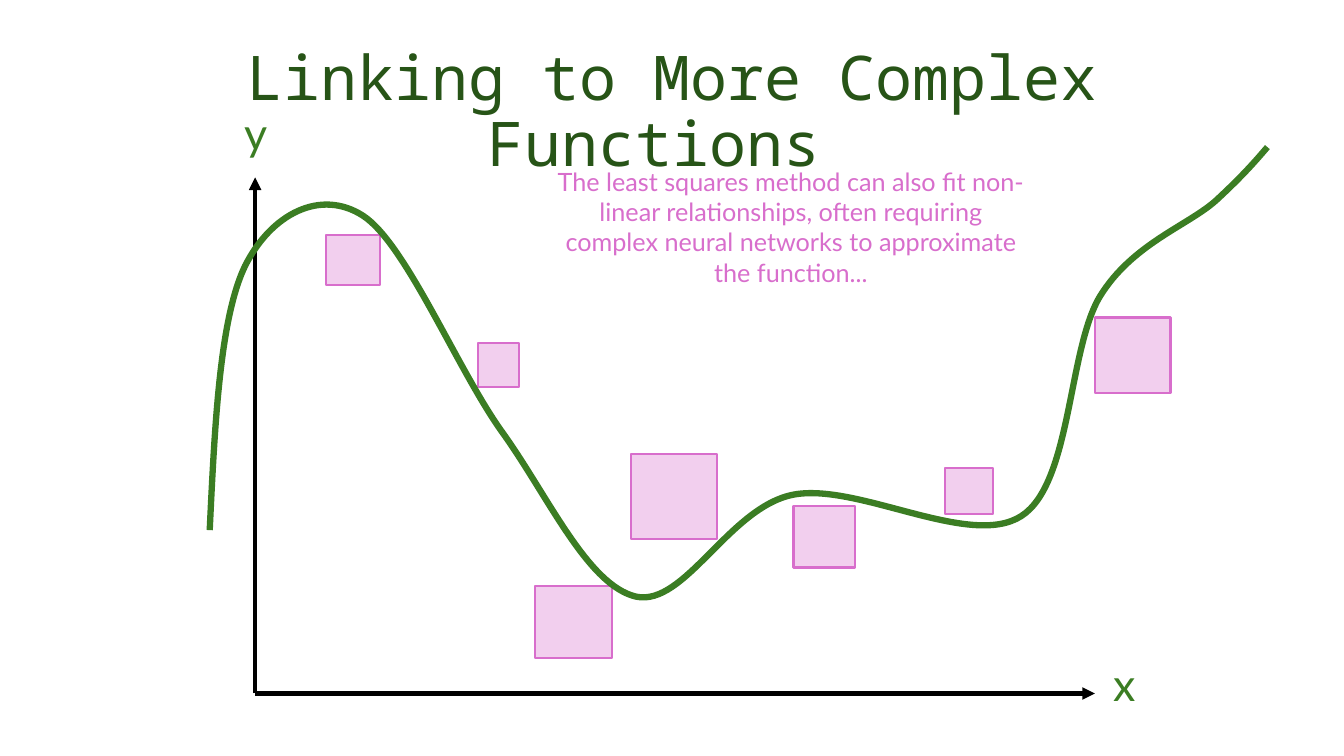
import pptx
import pptx.util
import pptx.dml.color
import pptx.enum.shapes
import pptx.enum.text
import pptx.oxml.ns
import lxml.etree

prs = pptx.Presentation()
prs.slide_width = pptx.util.Inches(13.33)
prs.slide_height = pptx.util.Inches(7.5)
s = prs.slides.add_slide(prs.slide_layouts[6])
cell = prs.slide_height // 750
qn = pptx.oxml.ns.qn


def paint(fmt, color):
    if hasattr(fmt, "solid"):
        fmt.solid()
        fmt.fore_color.rgb = pptx.dml.color.RGBColor.from_string(color)
    else:
        fmt.color.rgb = pptx.dml.color.RGBColor.from_string(color)


residuals = [
    (626, 450, 85, 85),
    (937, 464, 48, 46),
    (1086, 315, 75, 75),
    (787, 502, 61, 61),
    (531, 581, 76, 72),
    (323, 233, 54, 50),
    (474, 340, 41, 44),
]
for box in residuals:
    sp = s.shapes.add_shape(pptx.enum.shapes.MSO_SHAPE.RECTANGLE, *[n * cell for n in box])
    sp.shadow.inherit = False
    paint(sp.fill, "F2CFEE")
    paint(sp.line, "D86ECC")
    sp.line.width = pptx.util.Pt(1.5)

origin = (253, 688)
for tip in [(253, 176), (1086, 688)]:
    axis = s.shapes.add_connector(
        pptx.enum.shapes.MSO_CONNECTOR.STRAIGHT, *[n * cell for n in origin + tip])
    paint(axis.line, "000000")
    axis.line.width = pptx.util.Pt(3)
    lxml.etree.SubElement(axis.line._get_or_add_ln(), qn("a:tailEnd"), type="triangle")
    lxml.etree.SubElement(axis._element.spPr, qn("a:effectLst"))

start = (208, 526)
curves = [
    ((213, 421), (218, 316), (243, 264)),
    ((269, 212), (318, 187), (360, 214)),
    ((403, 242), (454, 368), (499, 430)),
    ((544, 493), (583, 581), (631, 592)),
    ((679, 602), (723, 504), (786, 491)),
    ((850, 478), (962, 545), (1013, 512)),
    ((1063, 480), (1059, 347), (1091, 294)),
    ((1123, 242), (1178, 224), (1206, 199)),
    ((1233, 174), (1245, 160), (1257, 146)),
]
fb = s.shapes.build_freeform(*start, scale=cell)
fb.add_line_segments([c[-1] for c in curves], close=False)
sp = fb.convert_to_shape()
sp.shadow.inherit = False
sp.fill.background()
paint(sp.line, "3B7D23")
sp.line.width = pptx.util.Pt(4.5)
left, top = start[0], curves[-1][-1][1]
for segment, points in zip(list(sp._element.iter(qn("a:lnTo"))), curves):
    bezier = lxml.etree.Element(qn("a:cubicBezTo"))
    for x, y in points:
        lxml.etree.SubElement(bezier, qn("a:pt"), x=str(x - left), y=str(y - top))
    segment.getparent().replace(segment, bezier)

middle = pptx.enum.text.MSO_ANCHOR.MIDDLE
upper = pptx.enum.text.MSO_ANCHOR.TOP
texts = [
    ("x", (1086, 646, 58, 64), 32, "Lato", "3B7D23", middle, 1.0),
    ("y", (208, 100, 91, 64), 32, "Lato", "3B7D23", middle, 1.0),
    ("Linking to More Complex Functions ", (92, 40, 1150, 145), 44,
     "Noto Sans Mono", "275417", middle, 0.9),
    ("The least squares method can also fit non-linear relationships, often requiring "
     "complex neural networks to approximate the function...",
     (543, 160, 483, 131), 18, "Lato", "D86ECC", upper, 1.0),
]
for text, box, size, font, color, anchor, spacing in texts:
    tf = s.shapes.add_textbox(*[n * cell for n in box]).text_frame
    tf.word_wrap = True
    tf.vertical_anchor = anchor
    p = tf.paragraphs[0]
    p.text = text
    p.alignment = pptx.enum.text.PP_ALIGN.CENTER
    p.line_spacing = spacing
    p.font.size = pptx.util.Pt(size)
    p.font.name = font
    paint(p.font, color)

prs.save("out.pptx")
